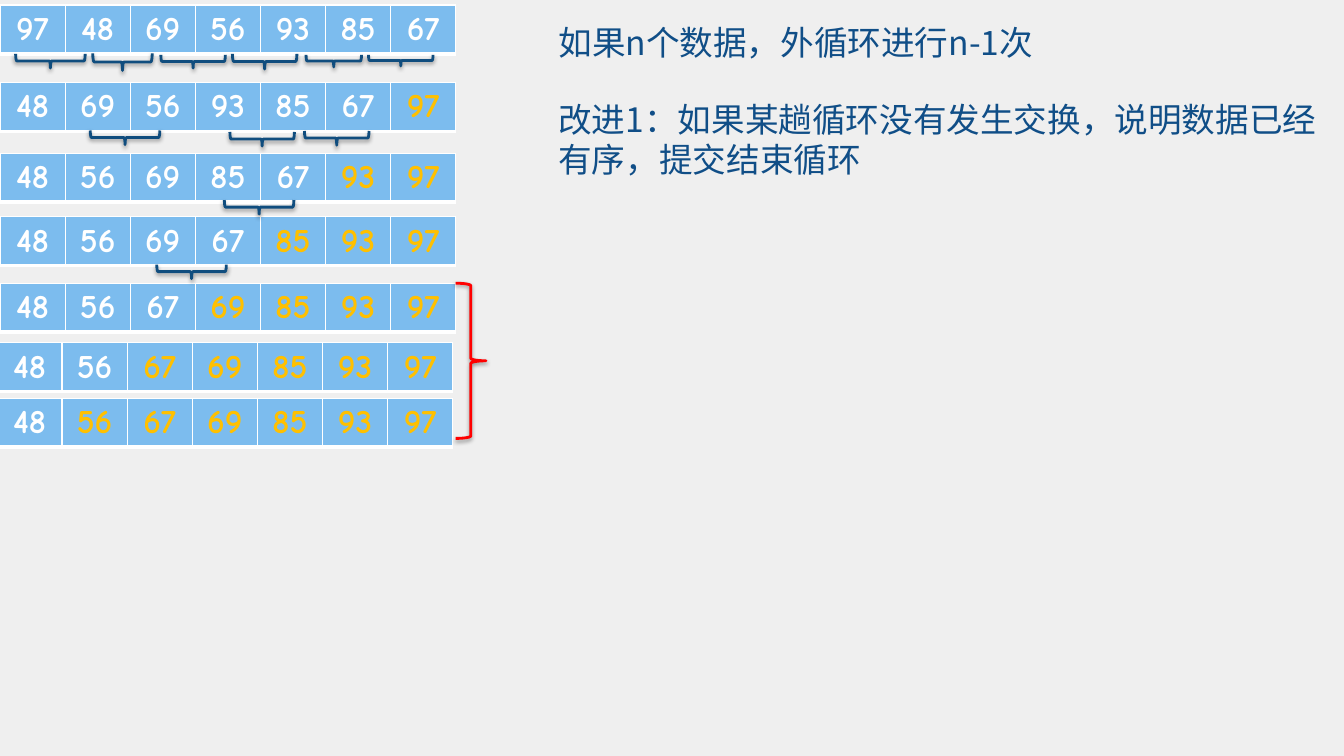
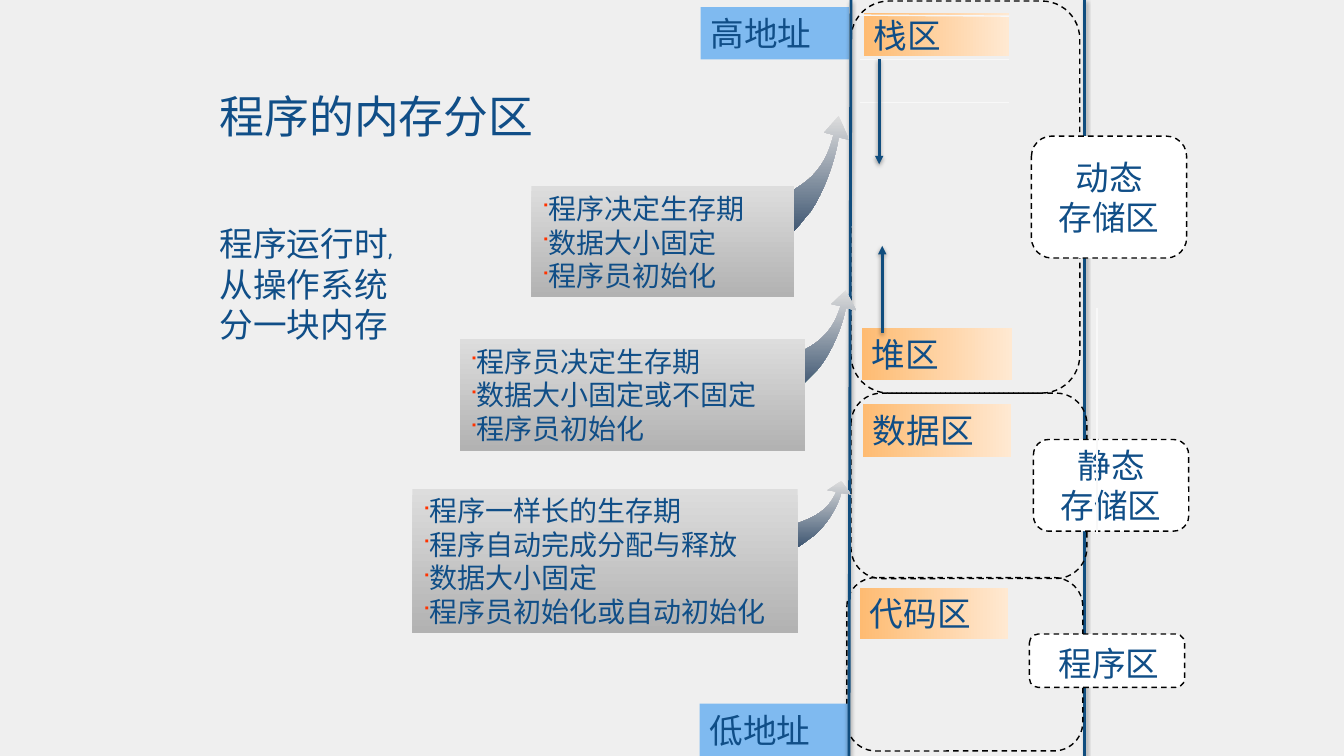
from lxml.etree import SubElement
from pptx import Presentation
from pptx.dml.color import RGBColor
from pptx.enum.dml import MSO_LINE
from pptx.enum.shapes import MSO_CONNECTOR, MSO_SHAPE
from pptx.enum.text import MSO_ANCHOR, PP_ALIGN
from pptx.oxml.ns import qn
from pptx.util import Pt

PX = 9144  # EMU in one px, 100 px to the inch
LATIN_FONT = "Comic Neue"
CHINESE_FONT = "Noto Sans CJK JP"

PAGE_GREY = RGBColor(0xEF, 0xEF, 0xEF)
WHITE = RGBColor(0xFF, 0xFF, 0xFF)
BLACK = RGBColor(0x00, 0x00, 0x00)
PALE = RGBColor(0xF8, 0xF8, 0xF8)
TEXT_BLUE = RGBColor(0x10, 0x4E, 0x87)
LINE_BLUE = RGBColor(0x10, 0x4D, 0x7E)
CELL_BLUE = RGBColor(0x7C, 0xBC, 0xEE)
ADDRESS_BLUE = RGBColor(0x7F, 0xBA, 0xF0)
GOLD = RGBColor(0xFF, 0xC0, 0x00)
RED = RGBColor(0xFF, 0x00, 0x00)
BULLET_RED = RGBColor(0xFF, 0x33, 0x00)
ORANGE = RGBColor(0xFE, 0xBB, 0x72)
CREAM = RGBColor(0xFF, 0xE9, 0xD2)
SILVER = RGBColor(0xDD, 0xDD, 0xDD)
GREY = RGBColor(0xB2, 0xB2, 0xB2)
SLATE = RGBColor(0x3C, 0x54, 0x70)


def write(frame, text, size=24, color=TEXT_BLUE, font=LATIN_FONT, bold=False,
          align=PP_ALIGN.LEFT, anchor=MSO_ANCHOR.MIDDLE, wrap=True, bullet=None):
    """Fill a text frame, one paragraph for each line of text."""
    frame.word_wrap = wrap
    frame.vertical_anchor = anchor
    for index, line in enumerate(text.split("\n")):
        para = frame.paragraphs[0] if index == 0 else frame.add_paragraph()
        para.alignment = align
        if bullet:
            properties = para._p.get_or_add_pPr()
            bullet_color = SubElement(properties, qn("a:buClr"))
            SubElement(bullet_color, qn("a:srgbClr"), val=str(BULLET_RED))
            SubElement(properties, qn("a:buSzPct"), val="70000")
            SubElement(properties, qn("a:buFont"), typeface="Wingdings")
            SubElement(properties, qn("a:buChar"), char=bullet)
        span = para.add_run()
        span.text = line
        span.font.size = Pt(size)
        span.font.bold = bold
        span.font.name = font
        span.font.color.rgb = color
        SubElement(span.font._element, qn("a:ea"), typeface=CHINESE_FONT)


def style(item, fill=None, angle=0, line=None, weight=1, dash=None,
          shadow=False, arrow=False):
    """Format a shape or connector; a pair of colours as fill is a gradient."""
    if isinstance(fill, RGBColor):
        item.fill.solid()
        item.fill.fore_color.rgb = fill
    elif fill:
        item.fill.gradient()
        item.fill.gradient_angle = angle
        for stop, color in zip(item.fill.gradient_stops, fill):
            stop.color.rgb = color
    elif hasattr(item, "fill"):
        item.fill.background()
    if line is None:
        item.line.fill.background()
    else:
        item.line.color.rgb = line
        item.line.width = Pt(weight)
        item.line.dash_style = dash
    if arrow:
        SubElement(item.line._get_or_add_ln(), qn("a:tailEnd"), type="triangle")
    effects = SubElement(item._element.spPr, qn("a:effectLst"))
    if shadow:
        outer = SubElement(effects, qn("a:outerShdw"), blurRad=str(Pt(3.1)),
                           dist=str(Pt(1.6)), dir="5400000", rotWithShape="0")
        black = SubElement(outer, qn("a:srgbClr"), val=str(BLACK))
        SubElement(black, qn("a:alpha"), val="38000")


deck = Presentation()
deck.slide_width, deck.slide_height = 1333 * PX, 750 * PX
background = deck.slide_master.background.fill
background.solid()
background.fore_color.rgb = PAGE_GREY
blank = deck.slide_layouts[6]

# Slide 1: bubble sort, one table for each pass
page = deck.slides.add_slide(blank)
numbers = [97, 48, 69, 56, 93, 85, 67]
count = len(numbers)
table_places = [(0, 5), (0, 82), (0, 152), (0, 215), (0, 281), (-3, 340), (-3, 395)]
for done, (left, top) in enumerate(table_places):
    table = page.shapes.add_table(1, count, left * PX, top * PX, 452 * PX, 48 * PX).table
    table.first_row = table.horz_banding = False
    for column, number in enumerate(numbers):
        table.columns[column].width = 452 * PX // count
        cell = table.cell(0, column)
        properties = cell._tc.get_or_add_tcPr()
        for side, weight in (("L", 1), ("R", 1), ("T", 1), ("B", 3)):
            border = SubElement(properties, qn("a:ln" + side), w=str(Pt(weight)))
            paint = SubElement(border, qn("a:solidFill"))
            SubElement(paint, qn("a:srgbClr"), val=str(WHITE))
        cell.fill.solid()
        cell.fill.fore_color.rgb = CELL_BLUE
        write(cell.text_frame, str(number), bold=True, align=PP_ALIGN.CENTER,
              anchor=MSO_ANCHOR.TOP, color=GOLD if column >= count - done else WHITE)
    for i in range(count - 1 - done):
        if numbers[i] > numbers[i + 1]:
            numbers[i], numbers[i + 1] = numbers[i + 1], numbers[i]

swap_braces = [
    (43, 26, 14, 69), (113, 32, 17, 59), (185, 29, 13, 64), (255, 29, 15, 64),
    (325, 33, 12, 55), (392, 28, 11, 64),
    (117, 102, 14, 69), (253, 106, 14, 64), (327, 105, 14, 64),
    (250, 171, 14, 69),
    (183, 235, 14, 69),
]
unchanged_brace = (452, 281, 30, 154)
for place in swap_braces + [unchanged_brace]:
    brace = page.shapes.add_shape(MSO_SHAPE.RIGHT_BRACE, *[v * PX for v in place])
    brace.rotation = 0 if place == unchanged_brace else 90
    style(brace, line=RED if place == unchanged_brace else LINE_BLUE, weight=2, shadow=True)

for place, text in [
    ((544, 93, 776, 91), "改进1：如果某趟循环没有发生交换，说明数据已经有序，提交结束循环"),
    ((544, 17, 698, 50), "如果n个数据，外循环进行n-1次"),
]:
    box = page.shapes.add_textbox(*[v * PX for v in place])
    write(box.text_frame, text, font=CHINESE_FONT, anchor=MSO_ANCHOR.TOP)

# Slide 2: memory areas of a program
page = deck.slides.add_slide(blank)
wall = dict(line=LINE_BLUE, weight=2, shadow=True)
right_wall = page.shapes.add_connector(MSO_CONNECTOR.STRAIGHT, 1076 * PX, 0, 1076 * PX, 750 * PX)
style(right_wall, **wall)

for area, tag, text in [
    ((844, 390, 234, 184), (1025, 436, 154, 91), "静态\n存储区"),
    ((840, 573, 234, 172), (1021, 629, 154, 53), None),
    ((844, 1, 227, 389), (1023, 135, 154, 121), "动态\n存储区"),
]:
    for place, fill in ((area, None), (tag, WHITE)):
        zone = page.shapes.add_shape(MSO_SHAPE.ROUNDED_RECTANGLE, *[v * PX for v in place])
        style(zone, fill=fill, line=BLACK, dash=MSO_LINE.DASH)
    if text:
        write(zone.text_frame, text, align=PP_ALIGN.CENTER, wrap=False)

for place, text, fill in [
    ((857, 13, 144, 43), "栈区", (ORANGE, CREAM)),
    ((855, 325, 149, 52), "堆区", (ORANGE, CREAM)),
    ((856, 401, 147, 52), "数据区", (ORANGE, CREAM)),
    ((853, 583, 147, 51), "代码区", (ORANGE, CREAM)),
    ((695, 7, 147, 52), "高地址", ADDRESS_BLUE),
    ((694, 698, 147, 52), "低地址", ADDRESS_BLUE),
]:
    label = page.shapes.add_shape(MSO_SHAPE.RECTANGLE, *[v * PX for v in place])
    style(label, fill=fill)
    write(label.text_frame, text)

for ends, look in [
    ((1088, 306, 1088, 530), dict(line=PALE)),
    ((853, 15, 1001, 16), dict(line=PALE)),
    ((853, 59, 1001, 59), dict(line=PALE)),
    ((853, 102, 1001, 102), dict(line=PALE)),
    ((844, 0, 842, 750), wall),
    ((875, 330, 875, 244), dict(wall, arrow=True)),
    ((872, 59, 872, 163), dict(wall, arrow=True)),
]:
    rule = page.shapes.add_connector(MSO_CONNECTOR.STRAIGHT, *[v * PX for v in ends])
    style(rule, **look)

# Outline of a bent arrow in a 1000 by 1000 square: a step of three points is a curve
arrow_start = (0, 770)
arrow_steps = [
    [(200, 730), (260, 740), (520, 590)],
    [(770, 450), (820, 250), (850, 160)],
    [(810, 150), (760, 140), (760, 140)],
    [(900, 0)], [(1000, 200)], [(900, 180)],
    [(870, 360), (760, 640), (620, 810)],
    [(470, 960), (580, 860), (430, 1000)],
]

for arrow_place, note_place, text in [
    ((748, 477, 96, 67), (409, 485, 382, 143),
     "程序一样长的生存期\n程序自动完成分配与释放\n数据大小固定\n程序员初始化或自动初始化"),
    ((747, 288, 102, 98), (456, 336, 343, 111),
     "程序员决定生存期\n数据大小固定或不固定\n程序员初始化"),
    ((740, 115, 102, 118), (527, 185, 261, 110),
     "程序决定生存期\n数据大小固定\n程序员初始化"),
]:
    left, top, width, height = [v * PX for v in arrow_place]
    builder = page.shapes.build_freeform(*arrow_start, scale=(width / 1000, height / 1000))
    builder.add_line_segments([step[-1] for step in arrow_steps], close=True)
    bent_arrow = builder.convert_to_shape(left, top)
    segments = list(bent_arrow._element.iter(qn("a:lnTo")))
    for segment, step in zip(segments, arrow_steps):
        if len(step) == 3:
            outline = segment.getparent()
            curve = SubElement(outline, qn("a:cubicBezTo"))
            for x, y in step:
                SubElement(curve, qn("a:pt"), x=str(x), y=str(y))
            outline.replace(segment, curve)
    style(bent_arrow, fill=(SILVER, SLATE), angle=270)
    note = page.shapes.add_shape(MSO_SHAPE.RECTANGLE, *[v * PX for v in note_place])
    style(note, fill=(SILVER, GREY), angle=270)
    write(note.text_frame, text, size=20, bullet="■")

for place, text, look in [
    ((208, 83, 610, 63), "程序的内存分区", dict(size=32)),
    ((208, 216, 209, 131), "程序运行时, 从操作系统分一块内存", {}),
    ((1029, 633, 142, 52), "程序区", dict(align=PP_ALIGN.CENTER, anchor=MSO_ANCHOR.TOP)),
]:
    box = page.shapes.add_textbox(*[v * PX for v in place])
    write(box.text_frame, text, **look)

deck.save("out.pptx")
